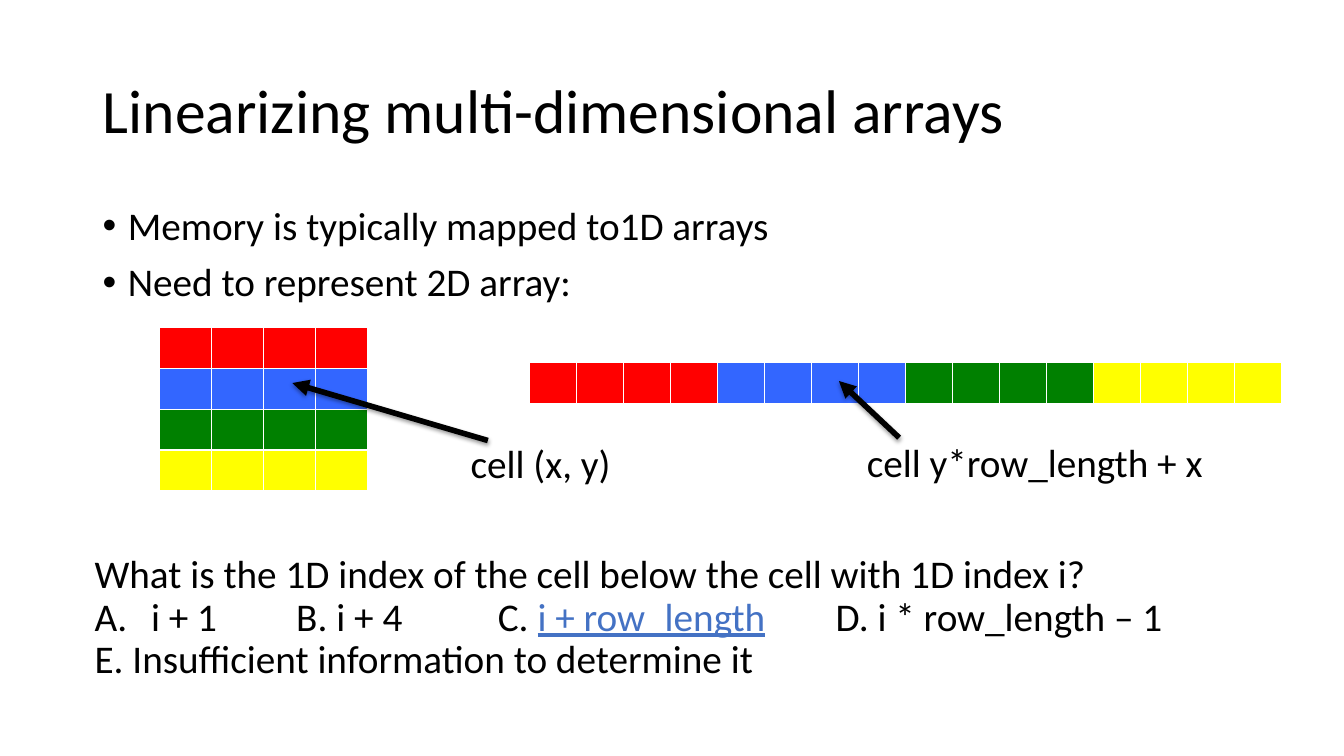
from dataclasses import dataclass

from lxml import etree
from pptx import Presentation
from pptx.dml.color import RGBColor
from pptx.enum.shapes import MSO_CONNECTOR
from pptx.enum.text import MSO_ANCHOR, MSO_AUTO_SIZE, PP_ALIGN
from pptx.oxml import parse_xml
from pptx.util import Inches, Pt

WIDTH, HEIGHT = Inches(13.33), Inches(7.5)
STRAIGHT = MSO_CONNECTOR.STRAIGHT
TOP, MIDDLE = MSO_ANCHOR.TOP, MSO_ANCHOR.MIDDLE
FIXED, LEFT = MSO_AUTO_SIZE.NONE, PP_ALIGN.LEFT
BLACK = RGBColor(0x00, 0x00, 0x00)
WHITE = RGBColor(0xFF, 0xFF, 0xFF)
RED = RGBColor(0xFF, 0x00, 0x00)
BLUE = RGBColor(0x33, 0x66, 0xFF)
GREEN = RGBColor(0x00, 0x80, 0x00)
YELLOW = RGBColor(0xFF, 0xFF, 0x00)
LINK = RGBColor(0x44, 0x72, 0xC4)
BANDS = [RED, BLUE, GREEN, YELLOW]
SPAN = 4
NS = "http://schemas.openxmlformats.org/drawingml/2006/main"
DOT = '<a:buFont xmlns:a="%s" typeface="Arial"/>' % NS, '<a:buChar xmlns:a="%s" char="•"/>' % NS
ALPHA = (
    '<a:buFont xmlns:a="%s" typeface="+mj-lt"/>' % NS,
    '<a:buAutoNum xmlns:a="%s" type="alphaUcPeriod"/>' % NS,
)
SHADOW = (
    f'<a:effectLst xmlns:a="{NS}"><a:outerShdw blurRad="39370" dist="20320" dir="5400000"'
    ' rotWithShape="0"><a:srgbClr val="000000"><a:alpha val="38000"/></a:srgbClr>'
    "</a:outerShdw></a:effectLst>"
)


@dataclass
class Box:
    """Place an area in percent of the slide's width and height."""

    left: float
    top: float
    width: float
    height: float


@dataclass
class Grid:
    """Describe a table of equal cells, sized in percent of the slide."""

    left: float
    top: float
    wide: float
    high: float
    rows: list[list[RGBColor]]


@dataclass
class Arrow:
    """Join a cell to its label, in percent of the slide."""

    cell: tuple[float, float]
    label: tuple[float, float]


@dataclass
class Run:
    """Hold a piece of text with its colour and underline."""

    text: str
    color: RGBColor = BLACK
    under: bool = False


@dataclass
class Para:
    """Hold the runs of a paragraph with its list format."""

    runs: list[Run]
    bullet: tuple[str, ...] = ()
    indent: float = 0
    tabs: tuple[float, ...] = ()


def across(share: float) -> int:
    """Turn a percentage of the width into a length."""
    return int(WIDTH * share / 100)


def down(share: float) -> int:
    """Turn a percentage of the height into a length."""
    return int(HEIGHT * share / 100)


def write(shape, box: Box, paras: list[Para], *, size=28, anchor=TOP, space=0.9, before=0) -> None:
    """Place a text shape and fill it with formatted paragraphs."""
    shape.left, shape.top = across(box.left), down(box.top)
    shape.width, shape.height = across(box.width), down(box.height)
    frame = shape.text_frame
    frame.word_wrap, frame.auto_size, frame.vertical_anchor = True, FIXED, anchor
    for place, item in enumerate(paras):
        para = frame.add_paragraph() if place else frame.paragraphs[0]
        para.alignment, para.line_spacing, para.space_before = LEFT, space, Pt(before)
        for part in item.runs:
            run = para.add_run()
            run.text = part.text
            font = run.font
            font.name, font.size, font.underline = "Calibri", Pt(size), part.under
            font.color.rgb = part.color
        props = para._p.get_or_add_pPr()
        if item.bullet:
            props.set("marL", str(Inches(item.indent)))
            props.set("indent", str(-Inches(item.indent)))
            tint = etree.SubElement(props, f"{{{NS}}}buClr")
            etree.SubElement(tint, f"{{{NS}}}srgbClr", val=str(BLACK))
            for mark in item.bullet:
                props.append(parse_xml(mark))
        if item.tabs:
            stops = etree.SubElement(props, f"{{{NS}}}tabLst")
            for stop in item.tabs:
                etree.SubElement(stops, f"{{{NS}}}tab", pos=str(Inches(stop)), algn="l")


def draw_grid(shapes, grid: Grid) -> None:
    """Draw a table of coloured cells with thin white borders."""
    rows, cols = len(grid.rows), len(grid.rows[0])
    wide, high = across(grid.wide), down(grid.high)
    table = shapes.add_table(
        rows, cols, across(grid.left), down(grid.top), wide * cols, high * rows
    ).table
    table.first_row = table.horz_banding = False
    for col in table.columns:
        col.width = wide
    for row, colors in zip(table.rows, grid.rows):
        row.height = high
        for cell, color in zip(row.cells, colors):
            cell.margin_top = cell.margin_bottom = 0
            props = cell._tc.get_or_add_tcPr()
            for side in "LRTB":
                line = etree.SubElement(props, f"{{{NS}}}ln{side}", w=str(Pt(0.96)))
                fill = etree.SubElement(line, f"{{{NS}}}solidFill")
                etree.SubElement(fill, f"{{{NS}}}srgbClr", val=str(WHITE))
            cell.fill.solid()
            cell.fill.fore_color.rgb = color


def draw_arrow(shapes, arrow: Arrow) -> None:
    """Draw a thick arrow that points at a cell."""
    (left, top), (right, base) = arrow.cell, arrow.label
    link = shapes.add_connector(STRAIGHT, across(left), down(top), across(right), down(base))
    link.line.color.rgb, link.line.width = BLACK, Pt(4)
    etree.SubElement(link.line._get_or_add_ln(), f"{{{NS}}}headEnd", type="triangle")
    link._element.spPr.append(parse_xml(SHADOW))


def plain(text: str) -> Para:
    """Make a paragraph of one black run."""
    return Para([Run(text)])


TITLE = Box(6.9, 5.33, 86.25, 19.33)
BODY = Box(6.9, 26.67, 86.25, 14.53)
QUIZ = Box(6.3, 70, 88.5, 23.6)
POINTS = [
    Para([Run(text)], DOT, 0.25)
    for text in ("Memory is typically mapped to1D arrays", "Need to represent 2D array:")
]
ASK = [
    plain("What is the 1D index of the cell below the cell with 1D index i?"),
    Para(
        [
            Run("i + 1\tB. i + 4\tC. "),
            Run("i + row_length", LINK, True),
            Run("\tD. i * row_length – 1"),
        ],
        ALPHA,
        0.56,
        (2, 4, 7.35),
    ),
    plain("E. Insufficient information to determine it"),
]
SQUARE = [[color] * SPAN for color in BANDS]
GRIDS = [
    Grid(11.85, 43.33, 3.88, 5.4, SQUARE),
    Grid(39.38, 48, 3.5, 5.4, [sum(SQUARE, [])]),
]
ARROWS = [
    Arrow((21.75, 50.67), (36.3, 58.27)),
    Arrow((62.42, 50.4), (66.9, 57.9)),
]
LABELS = [
    (Box(34.28, 57.47, 11.92, 7.47), "cell (x, y)"),
    (Box(63.76, 57.33, 26.48, 7.47), "cell y*row_length + x"),
]


def main() -> None:
    """Build the slide and save it."""
    deck = Presentation()
    deck.slide_width, deck.slide_height = WIDTH, HEIGHT
    shapes = deck.slides.add_slide(deck.slide_layouts[5]).shapes
    write(shapes.title, TITLE, [plain("Linearizing multi-dimensional arrays")], size=44, anchor=MIDDLE)
    write(shapes.add_textbox(0, 0, 0, 0), BODY, POINTS, before=10)
    for grid in GRIDS:
        draw_grid(shapes, grid)
    for box, text in LABELS:
        write(shapes.add_textbox(0, 0, 0, 0), box, [plain(text)], space=1.0)
    for arrow in ARROWS:
        draw_arrow(shapes, arrow)
    write(shapes.add_textbox(0, 0, 0, 0), QUIZ, ASK, anchor=MIDDLE)
    deck.save("out.pptx")


main()
